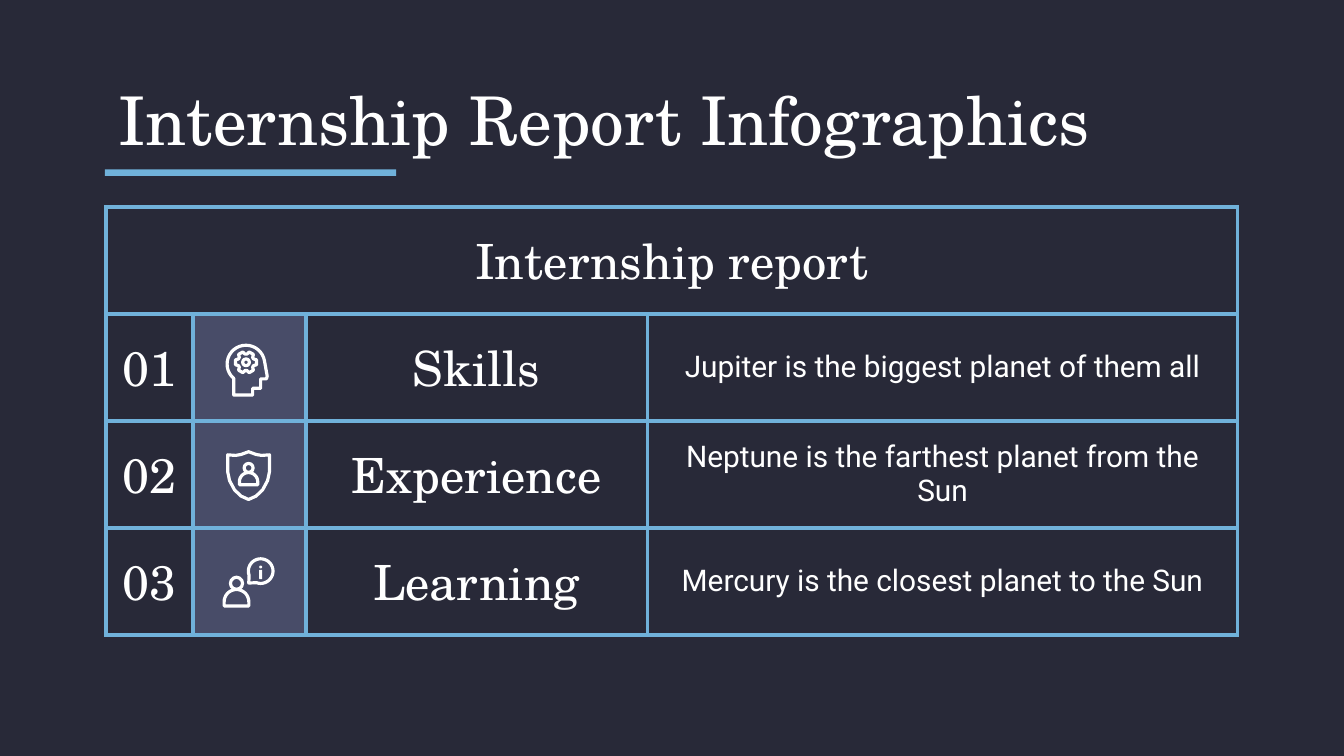
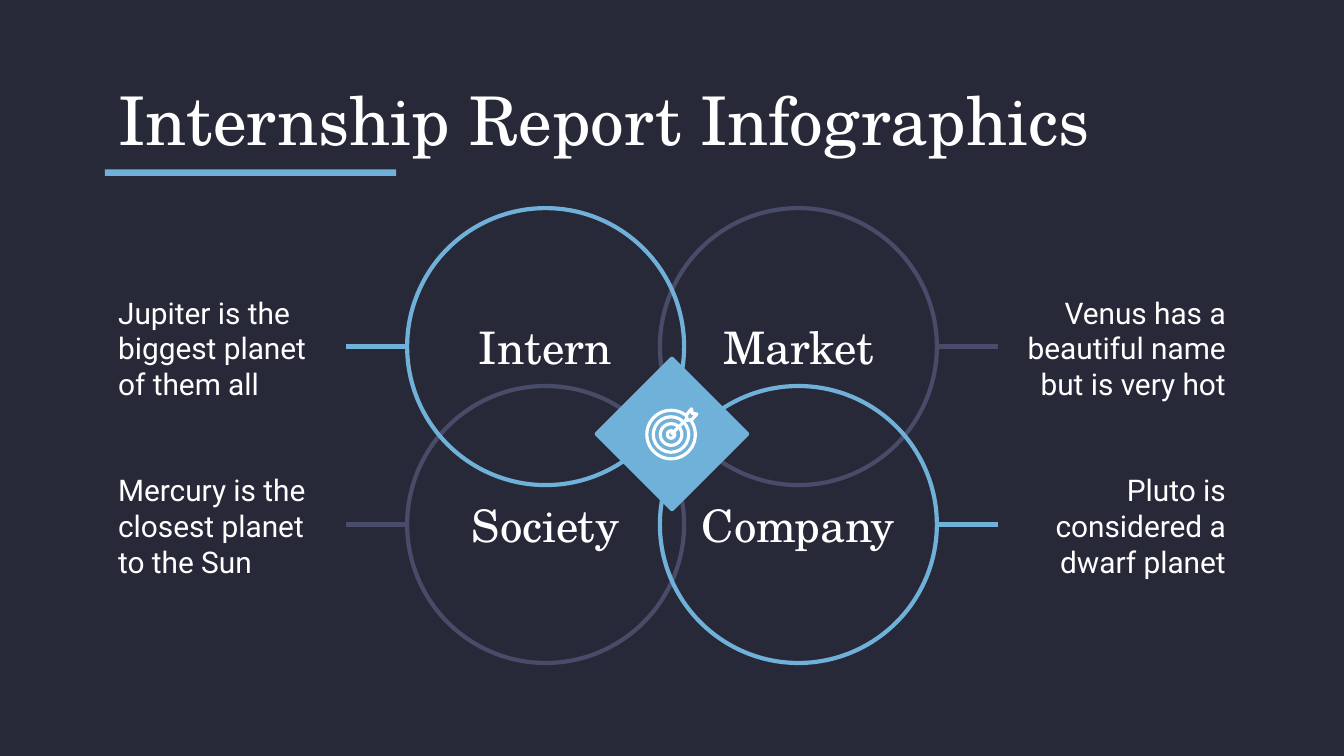
import math

import lxml.etree
import pptx
import pptx.dml.color
import pptx.enum.shapes
import pptx.enum.text
import pptx.oxml.ns
import pptx.util

Pt = pptx.util.Pt
qn = pptx.oxml.ns.qn
ALIGN = pptx.enum.text.PP_ALIGN
ANCHOR = pptx.enum.text.MSO_ANCHOR
SHAPE = pptx.enum.shapes.MSO_SHAPE

NIGHT, BLUE, PURPLE, WHITE = "282938", "70B1DA", "484C68", "FFFFFF"
SERIF, SANS = "TeX Gyre Schola", "Roboto"
LEFT, CONTENT_WIDTH = 56.2, 607.6
RIGHT = LEFT + CONTENT_WIDTH
INSET, RULE, STROKE = 7.2, 2.25, 1.7
INSETS = {f"margin_{side}": Pt(INSET) for side in ("left", "top", "right", "bottom")}


def color(value):
    return pptx.dml.color.RGBColor.from_string(value)


def set_values(target, values):
    for name, value in values.items():
        setattr(target, name, value)


def arc(x, y, radius, start, end, step=10):
    """Points along an arc, angles in degrees, clockwise from the right."""
    angles = [math.radians(angle) for angle in range(start, end + 1, step)]
    return [(x + radius * math.cos(a), y + radius * math.sin(a)) for a in angles]


class Deck:
    def __init__(self):
        self.presentation = pptx.Presentation()
        set_values(self.presentation, {"slide_width": Pt(720), "slide_height": Pt(405)})
        background = self.presentation.slide_master.background.fill
        background.solid()
        background.fore_color.rgb = color(NIGHT)
        self.layout = self.presentation.slide_layouts[5]
        self.slide = None

    def start_slide(self, title):
        first = self.slide is None
        self.slide = self.presentation.slides.add_slide(self.layout)
        if first:  # the bar under the title belongs to the layout
            bar = self.shape(SHAPE.RECTANGLE, LEFT, 90.7, 156, 3.6, fill=BLUE)
            self.layout.shapes.element.append(bar.element)
        shape = self.slide.shapes.title
        set_values(shape, {"left": Pt(LEFT), "top": Pt(42.5),
                           "width": Pt(CONTENT_WIDTH), "height": Pt(42.5)})
        self.frame(shape.text_frame, ANCHOR.MIDDLE)
        self.put_text(shape.text_frame, title, 36, SERIF, ALIGN.LEFT)

    def frame(self, text_frame, anchor):
        set_values(text_frame, {"word_wrap": True, "vertical_anchor": anchor,
                                "auto_size": pptx.enum.text.MSO_AUTO_SIZE.NONE, **INSETS})

    def put_text(self, text_frame, text, size, font, align):
        paragraph = text_frame.paragraphs[0]
        paragraph.alignment = align
        run = paragraph.add_run()
        run.text = text
        set_values(run.font, {"size": Pt(size), "name": font})
        run.font.color.rgb = color(WHITE)

    def text(self, text, x, y, width, height, size, font, align, anchor):
        box = self.slide.shapes.add_textbox(Pt(x), Pt(y), Pt(width), Pt(height))
        self.frame(box.text_frame, anchor)
        self.put_text(box.text_frame, text, size, font, align)

    def paint(self, shape, fill=None, line=None, weight=RULE):
        shape.shadow.inherit = False
        for part, value in ((shape.fill, fill), (shape.line.fill, line)):
            if value:
                part.solid()
                part.fore_color.rgb = color(value)
            else:
                part.background()
        if line:
            shape.line.width = Pt(weight)
        return shape

    def shape(self, kind, x, y, width, height, **paint):
        shape = self.slide.shapes.add_shape(kind, Pt(x), Pt(y), Pt(width), Pt(height))
        return self.paint(shape, **paint)

    def circle(self, x, y, radius, **paint):
        self.shape(SHAPE.OVAL, x - radius, y - radius, 2 * radius, 2 * radius, **paint)

    def ring(self, x, y, radius):
        self.circle(x, y, radius, line=WHITE, weight=STROKE)

    def outline(self, points, fill=None):
        points = [(Pt(x), Pt(y)) for x, y in points]
        builder = self.slide.shapes.build_freeform(*points[0])
        builder.add_line_segments(points[1:], close=True)
        self.paint(builder.convert_to_shape(), fill, WHITE, STROKE)

    def connector(self, start, end, line, elbow=False, weight=RULE):
        kinds = pptx.enum.shapes.MSO_CONNECTOR
        connector = self.slide.shapes.add_connector(
            kinds.ELBOW if elbow else kinds.STRAIGHT, *map(Pt, (*start, *end)))
        connector.line.color.rgb = color(line)
        connector.line.width = Pt(weight)
        lxml.etree.SubElement(connector.element.spPr, qn("a:effectLst"))

    def cell(self, cell, text="", size=26, font=SERIF, fill=None):
        set_values(cell, {"vertical_anchor": ANCHOR.MIDDLE, **INSETS})
        properties = cell._tc.get_or_add_tcPr()
        for side in "LRTB":
            border = lxml.etree.SubElement(properties, qn(f"a:ln{side}"), w=str(int(Pt(RULE))))
            solid = lxml.etree.SubElement(border, qn("a:solidFill"))
            lxml.etree.SubElement(solid, qn("a:srgbClr"), val=BLUE)
        if fill:
            cell.fill.solid()
            cell.fill.fore_color.rgb = color(fill)
        else:
            cell.fill.background()
        if text:
            self.put_text(cell.text_frame, text, size, font, ALIGN.CENTER)

    def table(self, header, rows, x, y, widths, row_height):
        count = len(rows) + 1
        table = self.slide.shapes.add_table(
            count, len(widths), Pt(x), Pt(y), Pt(sum(widths)), Pt(count * row_height)).table
        set_values(table, {"first_row": False, "horz_banding": False})
        for column, width in zip(table.columns, widths):
            column.width = Pt(width)
        for row in table.rows:
            row.height = Pt(row_height)
        for column in range(len(widths)):
            self.cell(table.cell(0, column), "" if column else header)
        table.cell(0, 0).merge(table.cell(0, len(widths) - 1))
        for index, (name, description) in enumerate(rows, 1):
            self.cell(table.cell(index, 0), f"{index:02}")
            self.cell(table.cell(index, 1), fill=PURPLE)
            self.cell(table.cell(index, 2), name)
            self.cell(table.cell(index, 3), description, 16, SANS)

    # Icons
    def person(self, x, y, scale=1):
        self.ring(x, y, 2.4 * scale)
        radius, shoulder, bottom = 4.9 * scale, y + 7.4 * scale, y + 9 * scale
        self.outline([(x - radius, bottom), *arc(x, shoulder, radius, 180, 360),
                      (x + radius, bottom)])

    def head_icon(self, x, y):
        self.outline([*arc(x, y, 10.1, 130, 350),
                      (x + 11.4, y + 6.5), (x + 11, y + 7.9), (x + 7.9, y + 7.9),
                      (x + 7.9, y + 13), (x + 3.6, y + 13), (x + 3.6, y + 16.6),
                      (x - 6.5, y + 16.6)])
        teeth = []
        for middle in range(0, 360, 60):
            for radius, offset in ((4.4, -24), (5.8, -13), (5.8, 13), (4.4, 24)):
                teeth += arc(x, y - 1, radius, middle + offset, middle + offset)
        self.outline(teeth)
        self.ring(x, y - 1, 1.8)

    def shield_icon(self, x, y):
        half = [(0, 0), (4, 1.5), (7, 2), (11.2, 1.7), (11.2, 10.7),
                (10.2, 15.5), (7.5, 20.5), (4, 23.8), (0, 25.6)]
        mirrored = [(-dx, dy) for dx, dy in half[-2:0:-1]]
        self.outline([(x + dx, y + dy) for dx, dy in half + mirrored])
        self.person(x, y + 8.7)

    def advice_icon(self, x, y):
        self.person(x, y, 1.35)
        bubble_x, bubble_y = x + 13, y - 6.5
        self.outline([*arc(bubble_x, bubble_y, 6.6, 160, 470),
                      (bubble_x - 6.4, bubble_y + 6.4)])
        self.circle(bubble_x, bubble_y - 2.2, 0.8, fill=WHITE)
        self.shape(SHAPE.ROUNDED_RECTANGLE, bubble_x - 0.8, bubble_y - 0.7, 1.6, 5, fill=WHITE)

    def target_icon(self, x, y):
        for radius in (13, 9.5, 5.8, 2):
            self.ring(x, y, radius)
        self.connector((x, y), (x + 9, y - 9), WHITE, weight=STROKE)
        feathers = [(8.4, -7.6), (8.4, -10.8), (11, -13.8), (11.3, -11.3),
                    (13.8, -11), (11.2, -8)]
        self.outline([(x + dx, y + dy) for dx, dy in feathers], fill=BLUE)


def table_slide(deck):
    deck.start_slide("Internship Report Infographics")
    rows = [("Skills", "Jupiter is the biggest planet of them all"),
            ("Experience", "Neptune is the farthest planet from the Sun"),
            ("Learning", "Mercury is the closest planet to the Sun")]
    deck.table("Internship report", rows, 56.9, 110.9, (46.5, 60.5, 183, 316.2), 57.3)
    deck.head_icon(131.8, 195.1)
    deck.shield_icon(133.2, 242)
    deck.advice_icon(126.7, 312.5)


def circles_slide(deck):
    deck.start_slide("Internship Report Infographics")
    radius, arm, text_width = 74.2, 32.9, 128.9
    columns, rows = (292.3, 427.7), (185.7, 281)

    def topic(name, description, column, row, line):
        x, y = columns[column], rows[row]
        deck.circle(x, y, radius, line=line)
        deck.text(name, x - 61.2, y - 17.3, 122.4, 34.6, 24, SERIF,
                  ALIGN.CENTER, ANCHOR.MIDDLE)
        deck.text(description, RIGHT - text_width if column else LEFT, y - 35.3,
                  text_width, 70.6, 16, SANS,
                  ALIGN.RIGHT if column else ALIGN.LEFT, ANCHOR.TOP)

    # Purple circles lie behind the connectors and the blue circles
    topic("Society", "Mercury is the closest planet to the Sun", 0, 1, PURPLE)
    topic("Market", "Venus has a beautiful name but is very hot", 1, 0, PURPLE)
    for column, direction in enumerate((-1, 1)):
        edge = columns[column] + direction * radius
        for row, y in enumerate(rows):
            deck.connector((edge, y), (edge + direction * arm, y),
                           BLUE if column == row else PURPLE, elbow=True)
    topic("Intern", "Jupiter is the biggest planet of them all", 0, 0, BLUE)
    topic("Company", "Pluto is considered a dwarf planet", 1, 1, BLUE)

    # Shared goal in the middle
    deck.shape(SHAPE.DIAMOND, 319.7, 192.2, 80.6, 80.6, fill=BLUE, line=BLUE)
    deck.target_icon(359.5, 232.8)


def main():
    deck = Deck()
    table_slide(deck)
    circles_slide(deck)
    deck.presentation.save("out.pptx")


if __name__ == "__main__":
    main()
